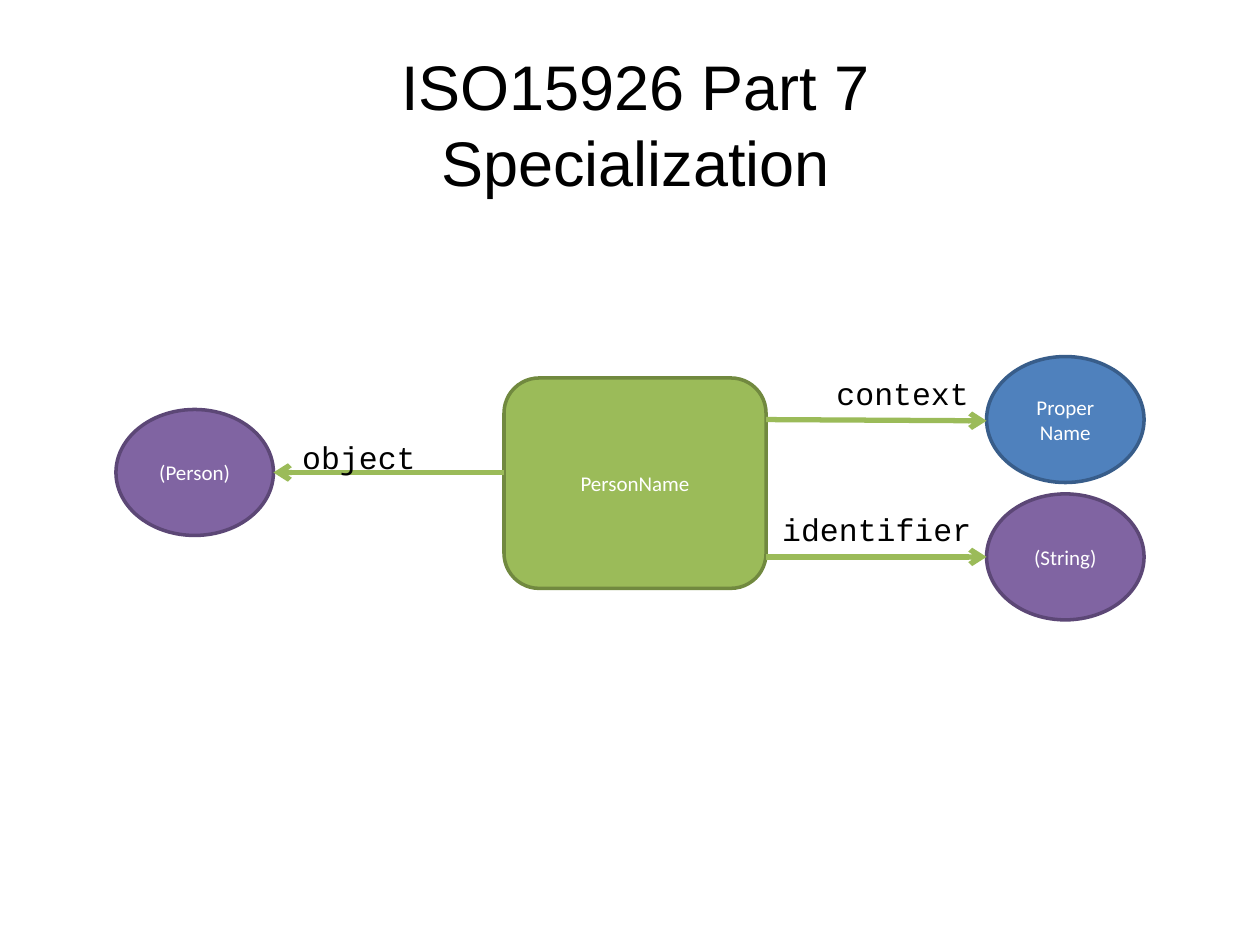
from pptx import Presentation, util as u
from pptx.dml.color import RGBColor
from pptx.enum import shapes, text
from pptx.oxml.ns import qn
from lxml import etree

THEME = {
    "title": {"name": "Arial", "size": u.Pt(36), "color": "000000"},
    "node": {"name": "Calibri", "size": u.Pt(12), "color": "FFFFFF"},
    "role": {"name": "Courier New", "size": u.Pt(18), "color": "000000"},
    "green": ("9BBB59", "71893F"),
    "purple": ("8064A2", "5C4776"),
    "blue": ("4F81BD", "385D8A"),
    "outline": u.Pt(2),
    "arrow": u.Pt(3),
}


def write(frame, lines, style, align):
    for index, line in enumerate(lines):
        paragraph = frame.paragraphs[0] if index == 0 else frame.add_paragraph()
        paragraph.alignment = align
        run = paragraph.add_run()
        run.text = line
        for key, value in THEME[style].items():
            if key == "color":
                run.font.color.rgb = RGBColor.from_string(value)
            else:
                setattr(run.font, key, value)


def add_label(left, top, width, height, lines, style, align, wrap):
    label = slide.shapes.add_textbox(*map(u.Inches, (left, top, width, height)))
    label.text_frame.word_wrap = wrap
    label.text_frame.auto_size = text.MSO_AUTO_SIZE.SHAPE_TO_FIT_TEXT
    write(label.text_frame, lines, style, align)


prs = Presentation()
prs.slide_width, prs.slide_height = u.Inches(10), u.Inches(7.5)
slide = prs.slides.add_slide(prs.slide_layouts[6])

add_label(2.42, 0.33, 5.25, 1.3, ["ISO15926 Part 7", "Specialization"],
          "title", text.PP_ALIGN.CENTER, True)

ROUNDED, OVAL = shapes.MSO_SHAPE.ROUNDED_RECTANGLE, shapes.MSO_SHAPE.OVAL
nodes = [
    ("PersonName", ROUNDED, "green", 4, 3, 2.08, 1.67),
    ("(String)", OVAL, "purple", 7.83, 3.92, 1.25, 1),
    ("(Person)", OVAL, "purple", 0.92, 3.25, 1.25, 1),
    ("Proper Name", OVAL, "blue", 7.83, 2.83, 1.25, 1),
]
for name, outline, palette, *place in nodes:
    node = slide.shapes.add_shape(outline, *map(u.Inches, place))
    node.shadow.inherit = False
    fill, edge = map(RGBColor.from_string, THEME[palette])
    node.fill.solid()
    node.fill.fore_color.rgb = fill
    node.line.color.rgb = edge
    node.line.width = THEME["outline"]
    node.text_frame.word_wrap = True
    node.text_frame.vertical_anchor = text.MSO_ANCHOR.MIDDLE
    write(node.text_frame, [name], "node", text.PP_ALIGN.CENTER)

roles = [
    ("object", (4, 3.75, 2.17, 3.75), (2.3, 3.43, 1.1)),
    ("identifier", (6.08, 4.42, 7.83, 4.42), (6.11, 4, 1.7)),
    ("context", (6.08, 3.33, 7.83, 3.34), (6.54, 2.92, 1.25)),
]
for role, ends, (left, top, width) in roles:
    arrow = slide.shapes.add_connector(shapes.MSO_CONNECTOR.STRAIGHT, *map(u.Inches, ends))
    arrow.line.color.rgb = RGBColor.from_string(THEME["green"][0])
    arrow.line.width = THEME["arrow"]
    etree.SubElement(arrow.line._get_or_add_ln(), qn("a:tailEnd"), type="arrow")
    etree.SubElement(arrow._element.spPr, qn("a:effectLst"))
    add_label(left, top, width, 0.4, [role], "role", text.PP_ALIGN.LEFT, False)

prs.save("out.pptx")
